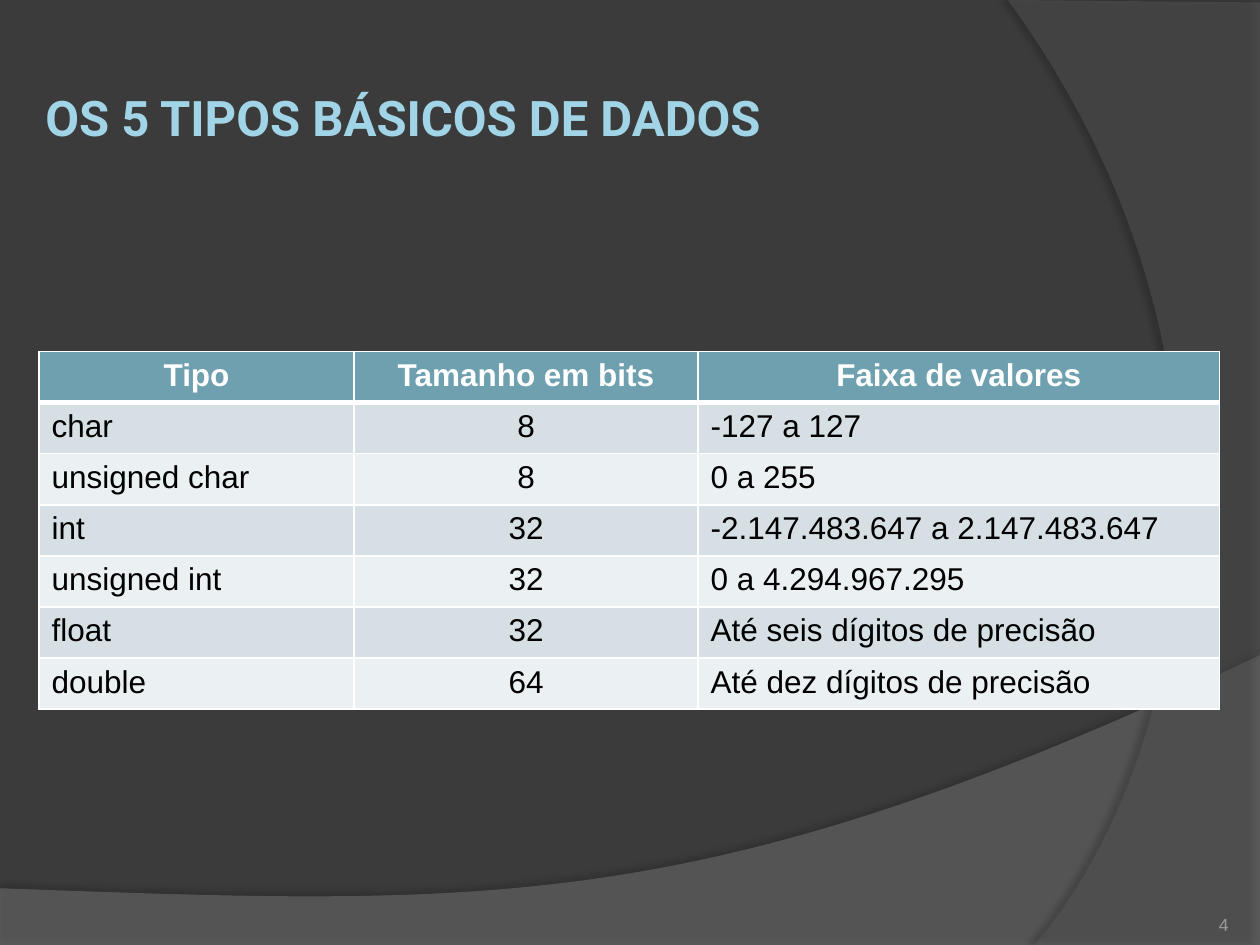
from lxml import etree
from pptx import Presentation
from pptx.dml.color import RGBColor
from pptx.enum.text import MSO_ANCHOR, PP_ALIGN
from pptx.oxml import parse_xml
from pptx.oxml.ns import nsdecls, qn
from pptx.util import Inches, Pt

LEFT, CENTER, RIGHT = PP_ALIGN.LEFT, PP_ALIGN.CENTER, PP_ALIGN.RIGHT
TOP, MIDDLE, BOTTOM = MSO_ANCHOR.TOP, MSO_ANCHOR.MIDDLE, MSO_ANCHOR.BOTTOM

CHARCOAL = RGBColor(0x3B, 0x3B, 0x3B)
WAVE_GREY = RGBColor(0x7F, 0x7F, 0x7F)
ARC_GREY = RGBColor(0x5E, 0x5E, 0x5E)
SKY = RGBColor(0xA1, 0xD4, 0xE7)
TEAL = RGBColor(0x6E, 0xA0, 0xB0)
BAND_DARK = RGBColor(0xD5, 0xDF, 0xE4)
BAND_LIGHT = RGBColor(0xEB, 0xF0, 0xF2)
WHITE = RGBColor(0xFF, 0xFF, 0xFF)
BLACK = RGBColor(0, 0, 0)
NUMBER_GREY = RGBColor(0x9D, 0x9B, 0x9A)

COLUMNS, ROWS = 100, 75
TITLE_ONLY = 5

HEADER = ("Tipo", "Tamanho em bits", "Faixa de valores")
DATA_TYPES = (
    ("char", "8", "-127 a 127"),
    ("unsigned char", "8", "0 a 255"),
    ("int", "32", "-2.147.483.647 a 2.147.483.647"),
    ("unsigned int", "32", "0 a 4.294.967.295"),
    ("float", "32", "Até seis dígitos de precisão"),
    ("double", "64", "Até dez dígitos de precisão"),
)


def write(frame, text, font="Arial", size=18, color=BLACK, bold=False, align=LEFT):
    """Put formatted text into a text frame."""
    paragraph = frame.paragraphs[0]
    paragraph.alignment = align
    run = paragraph.add_run()
    run.text = text
    run.font.name = font
    run.font.size = Pt(size)
    run.font.bold = bold
    run.font.color.rgb = color


def bezier(start, first, second, end, steps=48):
    """Return points along a cubic curve, both ends included."""
    points = []
    for step in range(steps + 1):
        t = step / steps
        weights = ((1 - t) ** 3, 3 * t * (1 - t) ** 2, 3 * t * t * (1 - t), t ** 3)
        controls = (start, first, second, end)
        points.append(tuple(sum(w * c[axis] for w, c in zip(weights, controls))
                            for axis in (0, 1)))
    return points


class Deck:
    """Hold the grid, the style and the current slide."""

    def __init__(self, width, height, background):
        self.presentation = Presentation()
        self.presentation.slide_width = Inches(width)
        self.presentation.slide_height = Inches(height)
        self.column = self.presentation.slide_width / COLUMNS
        self.row = self.presentation.slide_height / ROWS
        layout = self.presentation.slide_layouts[TITLE_ONLY]
        self.slide = self.presentation.slides.add_slide(layout)
        fill = self.slide.background.fill
        fill.solid()
        fill.fore_color.rgb = background

    def box(self, left, top, width, height):
        """Turn grid columns and rows into slide lengths."""
        return (round(left * self.column), round(top * self.row),
                round(width * self.column), round(height * self.row))

    def title(self, text, *area, **style):
        """Place and format the title placeholder."""
        title = self.slide.shapes.title
        title.left, title.top, title.width, title.height = self.box(*area)
        self.set_frame(title.text_frame, MIDDLE, 0.05)
        write(title.text_frame, text, **style)

    def label(self, text, *area, **style):
        """Add a text box without margins, anchored at its foot."""
        frame = self.slide.shapes.add_textbox(*self.box(*area)).text_frame
        self.set_frame(frame, BOTTOM, 0)
        write(frame, text, **style)

    def set_frame(self, frame, anchor, inset):
        """Set wrapping, anchor and equal margins."""
        frame.word_wrap = True
        frame.vertical_anchor = anchor
        frame.margin_left = frame.margin_right = Inches(inset)
        frame.margin_top = frame.margin_bottom = Inches(inset)

    def backdrop(self, points, color, opacity, shadow_opacity, distance, angle):
        """Add a translucent outline with a soft shadow behind the title."""
        (x, y), *others = [(x * self.column, y * self.row) for x, y in points]
        builder = self.slide.shapes.build_freeform(round(x), round(y), scale=1.0)
        builder.add_line_segments(others, close=True)
        shape = builder.convert_to_shape()
        shape.line.fill.background()
        shape.fill.solid()
        shape.fill.fore_color.rgb = color
        properties = shape.element.spPr
        tint = properties.find(".//" + qn("a:srgbClr"))
        etree.SubElement(tint, qn("a:alpha"), val=str(opacity * 1000))
        properties.append(parse_xml(
            f'<a:effectLst {nsdecls("a")}><a:outerShdw blurRad="{Pt(4)}" '
            f'dist="{Pt(distance)}" dir="{angle * 60000}" algn="ctr" rotWithShape="0">'
            f'<a:srgbClr val="{BLACK}"><a:alpha val="{shadow_opacity * 1000}"/>'
            '</a:srgbClr></a:outerShdw></a:effectLst>'))
        self.slide.shapes.title.element.addprevious(shape.element)

    def border(self, cell, side, width):
        """Draw one white cell border."""
        cell._tc.get_or_add_tcPr().append(parse_xml(
            f'<a:{side} {nsdecls("a")} w="{Pt(width)}"><a:solidFill>'
            f'<a:srgbClr val="{WHITE}"/></a:solidFill></a:{side}>'))

    def table(self, records, widths, *area):
        """Add a table with a header row and banded records."""
        table = self.slide.shapes.add_table(
            len(records), len(widths), *self.box(*area)).table
        table.horz_banding = False
        for column, width in zip(table.columns, widths):
            column.width = round(width * self.column)
        for r, record in enumerate(records):
            is_header = r == 0
            band = TEAL if is_header else BAND_DARK if r % 2 else BAND_LIGHT
            for c, text in enumerate(record):
                cell = table.cell(r, c)
                for side in ("lnL", "lnR", "lnT", "lnB"):
                    heavy = (r, side) in ((0, "lnB"), (1, "lnT"))
                    self.border(cell, side, 3 if heavy else 1)
                cell.fill.solid()
                cell.fill.fore_color.rgb = band
                cell.vertical_anchor = TOP
                write(cell.text_frame, text, bold=is_header,
                      color=WHITE if is_header else BLACK,
                      align=CENTER if is_header or c == 1 else LEFT)


def main():
    """Build the slide on data types."""
    deck = Deck(10, 7.5, CHARCOAL)
    wave = [(0, 75.1), (100, 75.1)] + bezier(
        (100, 52), (55.9, 72.9), (39.1, 71.9), (0, 70.5))
    arc = [(100, 0.2), (100, 75)] + bezier(
        (82.1, 75), (93.5, 61.9), (101.8, 30), (80, 0))
    deck.backdrop(wave, WAVE_GREY, 45, 35, 3.5, 270)
    deck.backdrop(arc, ARC_GREY, 40, 45, 4, 180)
    deck.title("OS 5 TIPOS BÁSICOS DE DADOS", 3.1, 3, 93.8, 12.5,
               font="Roboto", size=28, color=SKY, bold=True)
    deck.table((HEADER,) + DATA_TYPES, (25, 27.3, 41.4), 3.1, 27.9, 93.7, 28.4)
    deck.label("4", 89.2, 70.2, 8.3, 4, size=10, color=NUMBER_GREY, align=RIGHT)
    deck.presentation.save("out.pptx")


if __name__ == "__main__":
    main()
